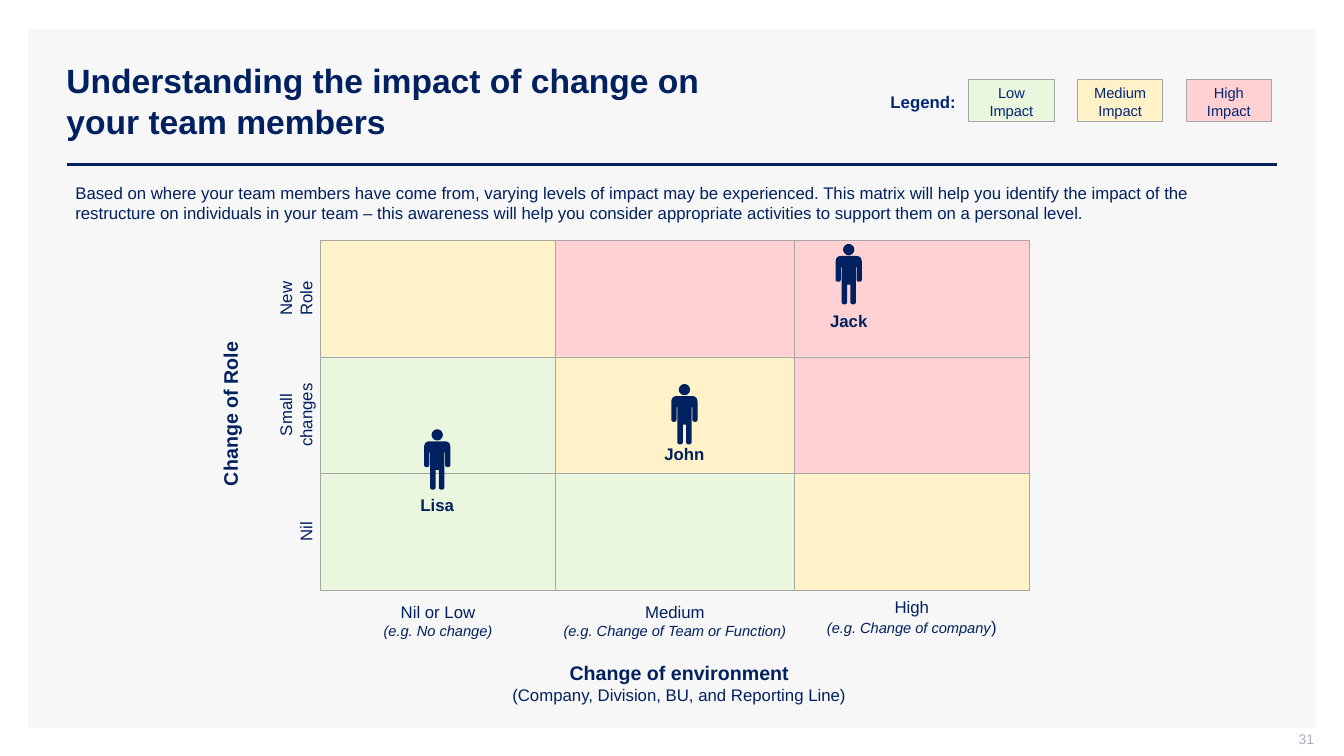
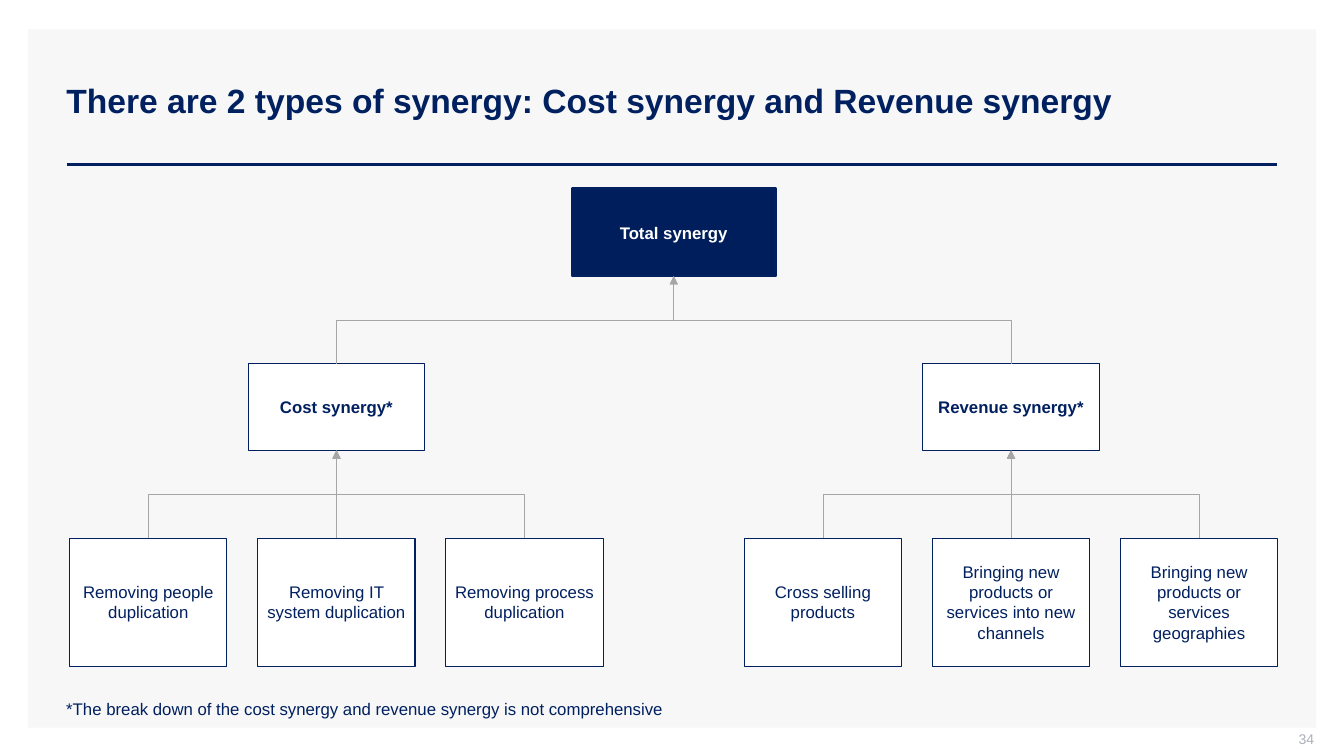
import dataclasses
import math
from typing import NamedTuple

import lxml.etree
import pptx
import pptx.dml.color
import pptx.enum.shapes
import pptx.enum.text
import pptx.oxml.ns
import pptx.util

Cm = pptx.util.Cm
Pt = pptx.util.Pt
Align = pptx.enum.text.PP_ALIGN
Anchor = pptx.enum.text.MSO_ANCHOR
Preset = pptx.enum.shapes.MSO_SHAPE
Link = pptx.enum.shapes.MSO_CONNECTOR

FONT = "Arial"
NAVY, ROYAL, DEEP = "002060", "002776", "001E5B"
WHITE, PANEL, GREY, PALE = "FFFFFF", "F7F7F7", "A6A6A6", "ADAFBB"
LOW, MEDIUM, HIGH = "EBF6DE", "FFF2C9", "FFD1D2"


class Box(NamedTuple):
    """Left, top, width and height in centimetres."""
    left: float
    top: float
    width: float
    height: float


@dataclasses.dataclass
class Line:
    text: str
    size: float = 12
    bold: bool = False
    italic: bool = False
    color: str = NAVY
    tail: str = ""  # upright 12 pt ending


@dataclasses.dataclass
class Person:
    name: str
    center: float
    top: float
    label: float


@dataclasses.dataclass
class Branch:
    name: str
    center: float
    leaves: list[str]


# Shared drawing tools

def paint(color: str) -> pptx.dml.color.RGBColor:
    return pptx.dml.color.RGBColor.from_string(color)


def place(box: Box) -> list[int]:
    return [Cm(side) for side in box]


def write(frame, lines: list[Line], align=Align.LEFT, anchor=Anchor.TOP) -> None:
    frame.word_wrap = True
    frame.auto_size = pptx.enum.text.MSO_AUTO_SIZE.NONE
    frame.vertical_anchor = anchor
    for index, line in enumerate(lines):
        para = frame.add_paragraph() if index else frame.paragraphs[0]
        para.text = line.text
        para.alignment = align
        font = para.font
        font.name, font.size = FONT, Pt(line.size)
        font.bold, font.italic = line.bold, line.italic
        font.color.rgb = paint(line.color)
        if line.tail:
            run = para.add_run()
            run.text = line.tail
            run.font.size, run.font.italic = Pt(12), False


def add_text(slide, box: Box, lines: list[Line], align=Align.LEFT,
             anchor=Anchor.TOP, turn: float = 0):
    shape = slide.shapes.add_textbox(*place(box))
    shape.rotation = turn
    write(shape.text_frame, lines, align, anchor)
    return shape


def dress(shape, fill: str, edge: str = "", width: float = 0.75) -> None:
    shape.shadow.inherit = False
    shape.fill.solid()
    shape.fill.fore_color.rgb = paint(fill)
    if edge:
        shape.line.color.rgb = paint(edge)
        shape.line.width = Pt(width)
    else:
        shape.line.fill.background()


def add_rect(slide, box: Box, fill: str, edge: str = "", width: float = 0.75):
    shape = slide.shapes.add_shape(Preset.RECTANGLE, *place(box))
    dress(shape, fill, edge, width)
    return shape


def style_line(line, color: str, width: float, arrow: bool = False) -> None:
    line.line.color.rgb = paint(color)
    line.line.width = Pt(width)
    props = line.element.spPr
    if arrow:
        stroke = props.find(pptx.oxml.ns.qn("a:ln"))
        lxml.etree.SubElement(stroke, pptx.oxml.ns.qn("a:tailEnd"), type="triangle")
    lxml.etree.SubElement(props, pptx.oxml.ns.qn("a:effectLst"))


def start_slide(deck, title: str, number: int):
    """Add a slide with the panel, title, rule and page number."""
    slide = deck.slides.add_slide(deck.slide_layouts[5])
    add_rect(slide, Box(0.71, 0.74, 32.46, 17.6), PANEL)
    rule = slide.shapes.add_connector(
        Link.STRAIGHT, Cm(1.68), Cm(4.14), Cm(32.18), Cm(4.14))
    style_line(rule, NAVY, 2)

    head = slide.shapes.title
    head.left, head.top, head.width, head.height = place(Box(1.42, 1.02, 30.76, 3.02))
    write(head.text_frame, [Line(title, 24, True)], anchor=Anchor.MIDDLE)
    head.element.getparent().append(head.element)  # bring in front of the panel

    page = add_text(slide, Box(25.5, 18.42, 7.62, 0.53),
                    [Line(str(number), 10, color=PALE)], Align.RIGHT, Anchor.MIDDLE)
    frame = page.text_frame
    frame.margin_top = frame.margin_right = 0
    return slide


# Impact matrix

GRID_LEFT, GRID_TOP, ROW = 8.08, 6.05, 2.94
COLUMNS = [5.92, 6.02, 5.92]
CELLS = [
    [MEDIUM, HIGH, HIGH],
    [LOW, MEDIUM, HIGH],
    [LOW, LOW, MEDIUM],
]
ROLES = [["New", "Role"], ["Small", "changes"], ["Nil"]]
LEVELS = [
    (15.04, [Line("Nil or Low"), Line("(e.g. No change)", 10.5, italic=True)]),
    (15.04, [Line("Medium"),
             Line("(e.g. Change of Team or Function)", 10.5, italic=True)]),
    (14.91, [Line("High"),
             Line("(e.g. Change of company", 10.5, italic=True, tail=")")]),
]
LEGEND = [("Low Impact", LOW), ("Medium Impact", MEDIUM), ("High Impact", HIGH)]
PEOPLE = [
    Person("Jack", 21.39, 6.15, 7.7),
    Person("John", 17.25, 9.68, 11.05),
    Person("Lisa", 11.02, 10.82, 12.34),
]
# Right half of the body: x, y and corner radius
HALF = [
    (0.33, 0.3, 0.15), (0.33, 0.95, 0.06), (0.2, 0.95, 0.06), (0.2, 0.58, 0),
    (0.18, 0.58, 0), (0.18, 1.52, 0.07), (0.04, 1.52, 0.07), (0.04, 1.02, 0),
]


def round_off(corners: list[tuple]) -> list[tuple]:
    """Replace each corner by points on a curve."""
    points = []
    for index, (x, y, radius) in enumerate(corners):
        if not radius:
            points.append((x, y))
            continue
        ends = []
        for other in (corners[index - 1], corners[(index + 1) % len(corners)]):
            share = radius / math.dist((x, y), other[:2])
            ends.append((x + (other[0] - x) * share, y + (other[1] - y) * share))
        (ax, ay), (bx, by) = ends
        for step in range(7):
            t = step / 6
            a, m, b = (1 - t) ** 2, 2 * t * (1 - t), t ** 2
            points.append((a * ax + m * x + b * bx, a * ay + m * y + b * by))
    return points


def draw_person(slide, person: Person) -> None:
    body = round_off(HALF + [(-x, y, r) for x, y, r in reversed(HALF)])
    turns = [math.tau * step / 32 for step in range(32)]
    head = [(0.14 * math.cos(turn), 0.14 + 0.14 * math.sin(turn)) for turn in turns]
    paths = [[(Cm(person.center + x), Cm(person.top + y)) for x, y in part]
             for part in (body, head)]
    pen = slide.shapes.build_freeform(*paths[0][0])
    pen.add_line_segments(paths[0][1:])
    pen.move_to(*paths[1][0])
    pen.add_line_segments(paths[1][1:])
    dress(pen.convert_to_shape(), NAVY)
    add_text(slide, Box(person.center - 0.93, person.label, 1.86, 0.76),
             [Line(person.name, bold=True)], Align.CENTER)


def add_side(slide, x: float, y: float, height: float, lines: list[Line],
             anchor) -> None:
    """Add text reading upwards, centred on a point."""
    width = 5
    add_text(slide, Box(x - width / 2, y - height / 2, width, height),
             lines, Align.CENTER, anchor, 270)


def build_matrix(deck) -> None:
    slide = start_slide(
        deck, "Understanding the impact of change on \vyour team members", 31)
    add_text(slide, Box(1.65, 4.47, 30.53, 1.27), [Line(
        "Based on where your team members have come from, varying levels of impact "
        "may be experienced. This matrix will help you identify the impact of the "
        "restructure on individuals in your team – this awareness will help you "
        "consider appropriate activities to support them on a personal level.")])

    # Cells and row labels
    for row, (fills, words) in enumerate(zip(CELLS, ROLES)):
        top = GRID_TOP + row * ROW
        for col, fill in enumerate(fills):
            left = GRID_LEFT + sum(COLUMNS[:col])
            add_rect(slide, Box(left, top, COLUMNS[col], ROW), fill, GREY, 0.25)
        add_side(slide, GRID_LEFT - 0.65, top + ROW / 2, 1.3,
                 [Line(word) for word in words], Anchor.BOTTOM)

    # Column labels and axis names
    for col, (top, lines) in enumerate(LEVELS):
        center = GRID_LEFT + sum(COLUMNS[:col]) + COLUMNS[col] / 2
        add_text(slide, Box(center - 3.23, top, 6.46, 1.3), lines, Align.CENTER)
    add_side(slide, 5.8, 10.43, 1.09,
             [Line("Change of Role", 14, True)], Anchor.MIDDLE)
    add_text(slide, Box(12.27, 16.54, 9.7, 1.35),
             [Line("Change of environment", 14, True),
              Line("(Company, Division, BU, and Reporting Line)")], Align.CENTER)

    for person in PEOPLE:
        draw_person(slide, person)

    # Legend
    add_text(slide, Box(21.79, 2.18, 2.95, 0.76),
             [Line("Legend:", bold=True, color=ROYAL)], Align.CENTER)
    for index, (name, fill) in enumerate(LEGEND):
        key = add_rect(slide, Box(24.41 + index * 2.74, 2, 2.16, 1.07), fill, GREY)
        write(key.text_frame, [Line(name, 10.5, color=ROYAL)], Align.CENTER)


# Synergy tree

BRANCHES = [
    Branch("Cost synergy*", 8.48, [
        "Removing people duplication",
        "Removing IT system duplication",
        "Removing process duplication"]),
    Branch("Revenue synergy*", 25.48, [
        "Cross selling products",
        "Bringing new products or services into new channels",
        "Bringing new products or services geographies"]),
]
LEAF_STEP = 4.74


def add_node(slide, center: float, top: float, width: float, height: float,
             line: Line, fill: str = WHITE, edge: float = 0.75):
    node = add_rect(slide, Box(center - width / 2, top, width, height),
                    fill, NAVY, edge)
    frame = node.text_frame
    frame.margin_left = frame.margin_right = Cm(0.15)
    frame.margin_top = frame.margin_bottom = Cm(0.05)
    write(frame, [line], Align.CENTER, Anchor.MIDDLE)
    return node


def join(slide, child, parent) -> None:
    """Run an arrow from the top of a child to the foot of its parent."""
    x1, y1 = child.left + child.width // 2, child.top
    x2, y2 = parent.left + parent.width // 2, parent.top + parent.height
    straight = abs(x1 - x2) < Cm(0.05)
    kind = Link.STRAIGHT if straight else Link.ELBOW
    line = slide.shapes.add_connector(kind, x1, y1, x2, y2)
    line.begin_connect(child, 0)
    line.end_connect(parent, 2)
    if not straight:
        # A quarter turn makes the elbow leave upwards
        side = 1 if x1 < x2 else -1
        mid_x, mid_y = (x1 + x2) // 2, (y1 + y2) // 2
        reach, rise = side * (y1 - y2) // 2, abs(x1 - x2) // 2
        line.begin_x, line.begin_y = mid_x + reach, mid_y + rise
        line.end_x, line.end_y = mid_x - reach, mid_y - rise
        frame = line.element.spPr.find(pptx.oxml.ns.qn("a:xfrm"))
        frame.set("rot", str((90 if side > 0 else 270) * 60000))
    style_line(line, GREY, 0.5, arrow=True)


def build_tree(deck) -> None:
    slide = start_slide(
        deck, "There are 2 types of synergy: Cost synergy and Revenue synergy", 34)
    middle = sum(branch.center for branch in BRANCHES) / len(BRANCHES)
    total = add_node(slide, middle, 4.75, 5.14, 2.21,
                     Line("Total synergy", bold=True, color=WHITE), DEEP, 1.5)
    for branch in BRANCHES:
        node = add_node(slide, branch.center, 9.17, 4.44, 2.18,
                        Line(branch.name, bold=True))
        join(slide, node, total)
        for index, text in enumerate(branch.leaves):
            center = branch.center + (index - 1) * LEAF_STEP
            leaf = add_node(slide, center, 13.56, 3.96, 3.23, Line(text))
            join(slide, leaf, node)
    add_text(slide, Box(1.42, 17.48, 22.22, 0.76), [Line(
        "*The break down of the cost synergy and revenue synergy is not "
        "comprehensive")])


def main() -> None:
    deck = pptx.Presentation()
    deck.slide_width, deck.slide_height = Cm(33.87), Cm(19.05)
    build_matrix(deck)
    build_tree(deck)
    deck.save("out.pptx")


if __name__ == "__main__":
    main()
